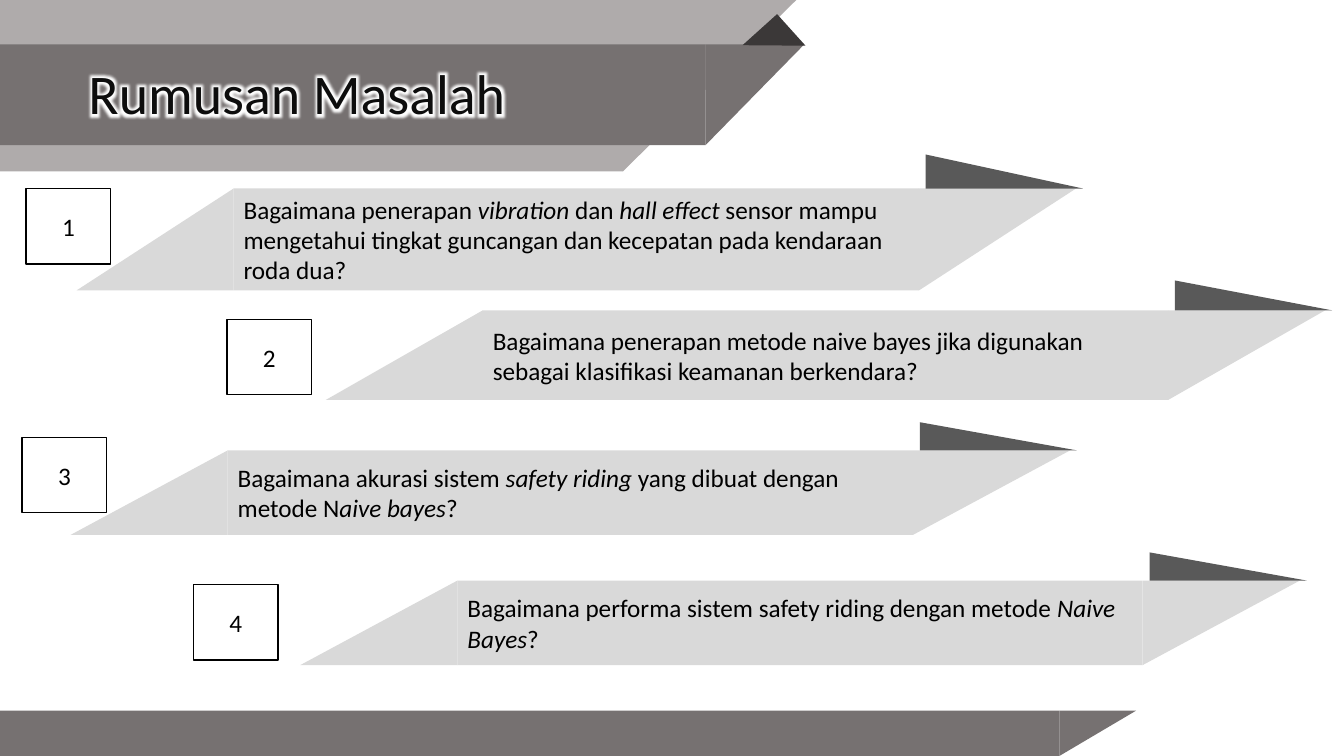
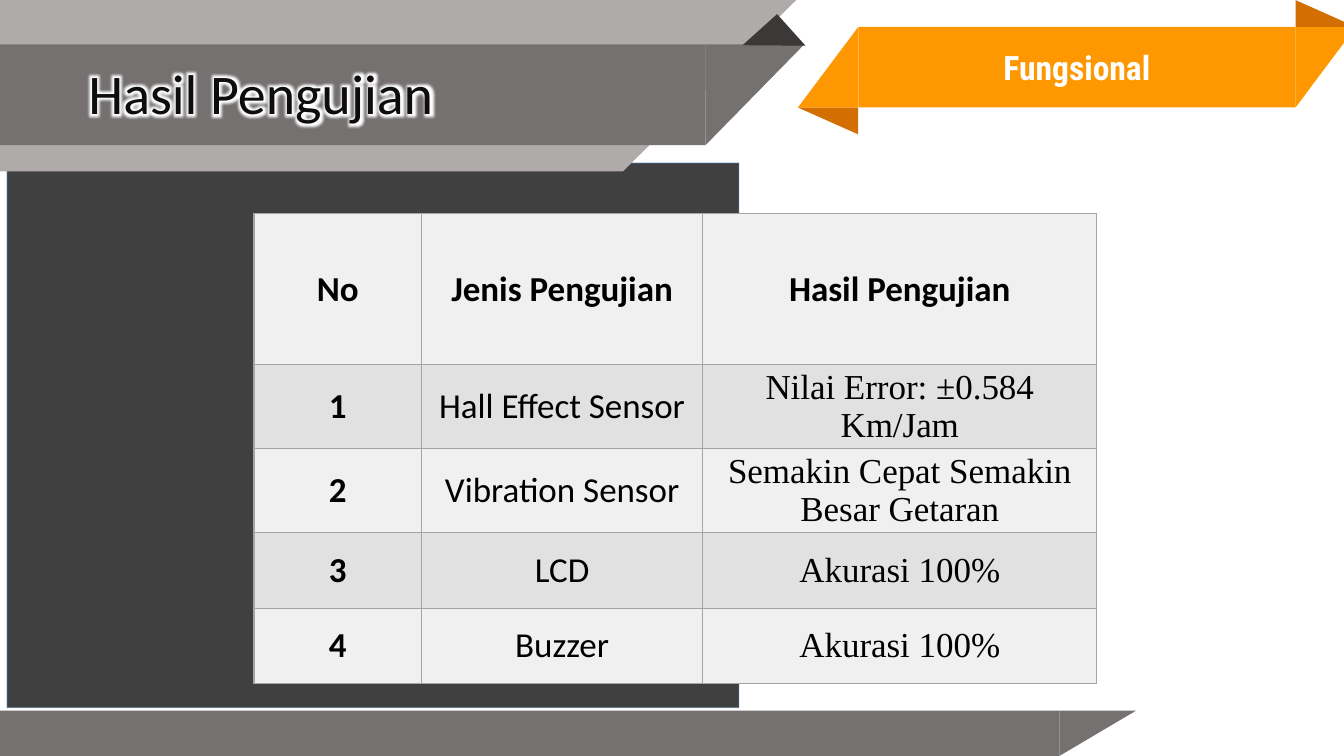
from lxml.etree import Element, SubElement
from pptx import Presentation
from pptx.dml.color import RGBColor
from pptx.enum.shapes import MSO_SHAPE
from pptx.enum.text import MSO_ANCHOR, PP_ALIGN
from pptx.oxml.ns import qn
from pptx.util import Cm, Pt

BLACK = RGBColor(0x00, 0x00, 0x00)
WHITE = RGBColor(0xFF, 0xFF, 0xFF)
INK = RGBColor(0x0D, 0x0D, 0x0D)
STONE = RGBColor(0x76, 0x71, 0x71)
ASH = RGBColor(0xAF, 0xAB, 0xAB)
COAL = RGBColor(0x3B, 0x38, 0x38)
SILVER = RGBColor(0xD9, 0xD9, 0xD9)
SLATE = RGBColor(0x59, 0x59, 0x59)
ORANGE = RGBColor(0xFF, 0x98, 0x00)
RUST = RGBColor(0xD2, 0x6F, 0x00)
BLUE = RGBColor(0x43, 0x73, 0x9E)
PALE = RGBColor(0xF0, 0xF0, 0xF0)
LIGHT = RGBColor(0xE1, 0xE1, 0xE1)
EDGE = RGBColor(0xA5, 0xA5, 0xA5)

BODY = "Calibri"
SERIF = "Times New Roman"
LABEL = "Roboto Condensed"

# left, top and height of each ribbon's text block, then its number's corner
ASKS = [
    ("Bagaimana penerapan *vibration *dan *hall effect* sensor mampu mengetahui "
     "tingkat guncangan dan kecepatan pada kendaraan roda dua?",
     (5.89, 4.75, 2.57), (0.66, 4.75)),
    ("Bagaimana penerapan metode naive bayes jika digunakan sebagai klasifikasi "
     "keamanan berkendara?",
     (12.17, 7.82, 2.26), (5.72, 8.05)),
    ("Bagaimana akurasi sistem *safety riding* yang dibuat dengan metode "
     "N*aive bayes*?",
     (5.74, 11.35, 2.13), (0.56, 11.02)),
    ("Bagaimana performa sistem safety riding dengan metode *Naive Bayes*?",
     (11.53, 14.63, 2.13), (4.88, 14.73)),
]

TESTS = [
    ("No", "Jenis Pengujian", "Hasil Pengujian"),
    ("1", "Hall Effect Sensor", "Nilai Error: ±0.584 Km/Jam"),
    ("2", "Vibration Sensor", "Semakin Cepat Semakin Besar Getaran"),
    ("3", "LCD", "Akurasi 100%"),
    ("4", "Buzzer", "Akurasi 100%"),
]


def put(frame, text, size=18, font=BODY, color=BLACK, bold=False,
        align=PP_ALIGN.LEFT, space=None):
    """Write one paragraph; parts between asterisks are italic."""
    frame.word_wrap = True
    para = frame.paragraphs[0]
    para.alignment = align
    if space:
        para.line_spacing = space
    for i, part in enumerate(text.split("*")):
        run = para.add_run()
        run.text = part
        run.font.size = Pt(size)
        run.font.name = font
        run.font.bold = bold
        run.font.italic = i % 2 == 1
        run.font.color.rgb = color
    return para


def draw(shapes, box, fill, kind=MSO_SHAPE.RECTANGLE, flip="", line=None):
    """Add a flat shape; flip holds the axes to mirror, H and V."""
    shape = shapes.add_shape(kind, *map(Cm, box))
    shape.shadow.inherit = False
    shape.fill.solid()
    shape.fill.fore_color.rgb = fill
    if line is None:
        shape.line.fill.background()
    else:
        shape.line.color.rgb = line
        shape.line.width = Pt(1)
    for axis in flip:
        shape._element.spPr.xfrm.set("flip" + axis, "1")
    return shape


def wedge(shapes, box, fill, flip=""):
    """A right triangle with its corner at bottom left before the flip."""
    return draw(shapes, box, fill, MSO_SHAPE.RIGHT_TRIANGLE, flip)


def band(shapes, top, width, height, tip, fill):
    """A strip from the left edge that ends in a slanted tip."""
    draw(shapes, (0, top, width, height), fill)
    wedge(shapes, (width, top, tip, height), fill, "V")


def ribbon(page, box, slant, fill, fold, shift=0, tail=False):
    """A slanted strip with a fold on top; returns its text frame."""
    left, top, width, height = box
    right, lift = left + width, height / 3
    shapes = page.shapes.add_group_shape().shapes
    block = draw(shapes, box, fill)
    wedge(shapes, (left - slant, top, slant, height), fill, "H")
    wedge(shapes, (right, top, slant, height), fill, "V")
    wedge(shapes, (right + shift, top - lift, slant, lift), fold)
    if tail:
        wedge(shapes, (left - slant, top + height, slant, lift), fold, "HV")
    frame = block.text_frame
    frame.margin_left = frame.margin_right = Cm(0.25)
    frame.margin_top = frame.margin_bottom = Cm(0.25)
    return frame


def glow(run):
    """Give the run a dark outline and a soft white halo."""
    props = run.font._element
    line = Element(qn("a:ln"), w=str(Pt(2)))
    ink = SubElement(line, qn("a:solidFill"))
    SubElement(ink, qn("a:srgbClr"), val=str(BLACK))
    props.insert(0, line)
    effect = Element(qn("a:effectLst"))
    halo = SubElement(effect, qn("a:glow"), rad=str(Pt(8)))
    SubElement(halo, qn("a:srgbClr"), val=str(WHITE))
    props.find(qn("a:solidFill")).addnext(effect)


def frame_page(page, title):
    """The header bands, the title and the footer band."""
    shapes = page.shapes
    band(shapes, 0, 15.7, 4.32, 4.37, ASH)
    band(shapes, 1.12, 17.78, 2.54, 2.49, STONE)
    wedge(shapes, (18.92, 0.61, 1.17, 1.07), COAL).rotation = 138
    box = shapes.add_textbox(Cm(1.98), Cm(1.12), Cm(15.8), Cm(2.62))
    box.text_frame.vertical_anchor = MSO_ANCHOR.MIDDLE
    para = put(box.text_frame, title, size=40, color=INK, space=0.9)
    glow(para.runs[0])
    band(shapes, 17.91, 26.7, 1.14, 1.93, STONE)


def fade(part, share):
    """Set the opacity, in percent, of a solid fill."""
    color = part.find(qn("a:solidFill")).find(qn("a:srgbClr"))
    SubElement(color, qn("a:alpha"), val=str(share * 1000))


def panel(page, box):
    shape = draw(page.shapes, box, BLACK, line=BLUE)
    props = shape._element.spPr
    fade(props, 75)
    fade(props.find(qn("a:ln")), 38)


def rule(cell):
    """Draw thin lines on all sides of a cell."""
    props = cell._tc.get_or_add_tcPr()
    for i, side in enumerate(("lnL", "lnR", "lnT", "lnB")):
        line = Element(qn("a:" + side), w=str(Pt(1)))
        ink = SubElement(line, qn("a:solidFill"))
        SubElement(ink, qn("a:srgbClr"), val=str(EDGE))
        props.insert(i, line)


def grid(page, left, top, widths, heights, rows):
    size = len(rows), len(widths)
    table = page.shapes.add_table(*size, Cm(left), Cm(top), Cm(sum(widths)),
                                  Cm(sum(heights))).table
    table.first_row = table.horz_banding = False
    for col, width in zip(table.columns, widths):
        col.width = Cm(width)
    for r, (row, height) in enumerate(zip(rows, heights)):
        table.rows[r].height = Cm(height)
        for c, text in enumerate(row):
            cell = table.cell(r, c)
            cell.fill.solid()
            cell.fill.fore_color.rgb = LIGHT if r % 2 else PALE
            cell.vertical_anchor = MSO_ANCHOR.MIDDLE
            cell.margin_left = cell.margin_right = Cm(0.18)
            cell.margin_top = cell.margin_bottom = 0
            put(cell.text_frame, text, size=25, bold=r == 0 or c == 0,
                font=SERIF if r and c == 2 else BODY, align=PP_ALIGN.CENTER)
            rule(cell)


def ask_page(page):
    frame_page(page, "Rumusan Masalah")
    for i, (text, (left, top, height), spot) in enumerate(ASKS, 1):
        frame = ribbon(page, (left, top, 17.27, height), 3.96, SILVER, SLATE,
                       shift=0.17)
        put(frame, text)
        mark = draw(page.shapes, (*spot, 2.13, 1.9), WHITE, line=BLACK)
        put(mark.text_frame, str(i), align=PP_ALIGN.CENTER)


def test_page(page):
    panel(page, (0.18, 4.11, 18.44, 13.72))
    frame_page(page, "Hasil Pengujian")
    frame = ribbon(page, (21.63, 0.68, 11.02, 2.03), 1.52, ORANGE, RUST,
                   tail=True)
    put(frame, "Fungsional", size=24, font=LABEL, color=WHITE, bold=True,
        align=PP_ALIGN.CENTER)
    grid(page, 6.4, 5.38, (4.22, 7.09, 9.93), (3.81, *[1.9] * 4), TESTS)


def main():
    deck = Presentation()
    deck.slide_width, deck.slide_height = Cm(33.87), Cm(19.05)
    for build in (ask_page, test_page):
        build(deck.slides.add_slide(deck.slide_layouts[6]))
    deck.save("out.pptx")


if __name__ == "__main__":
    main()
